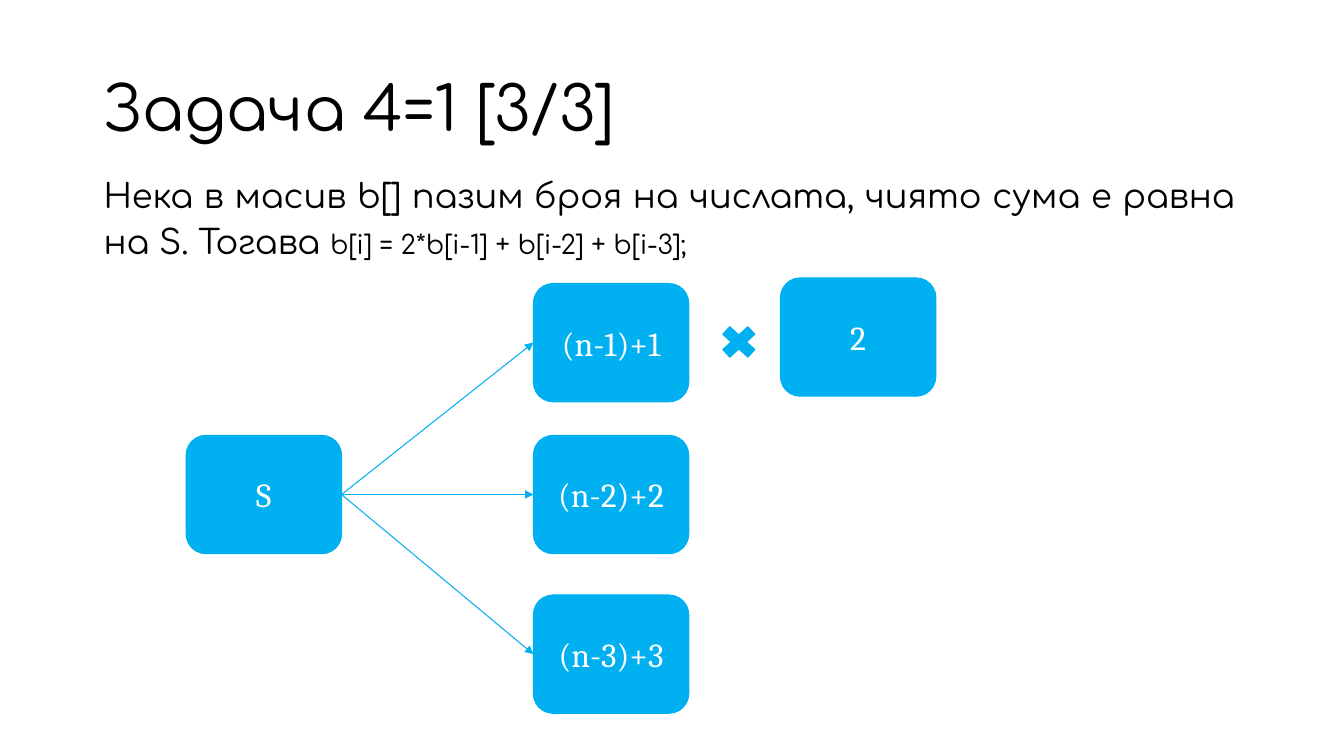
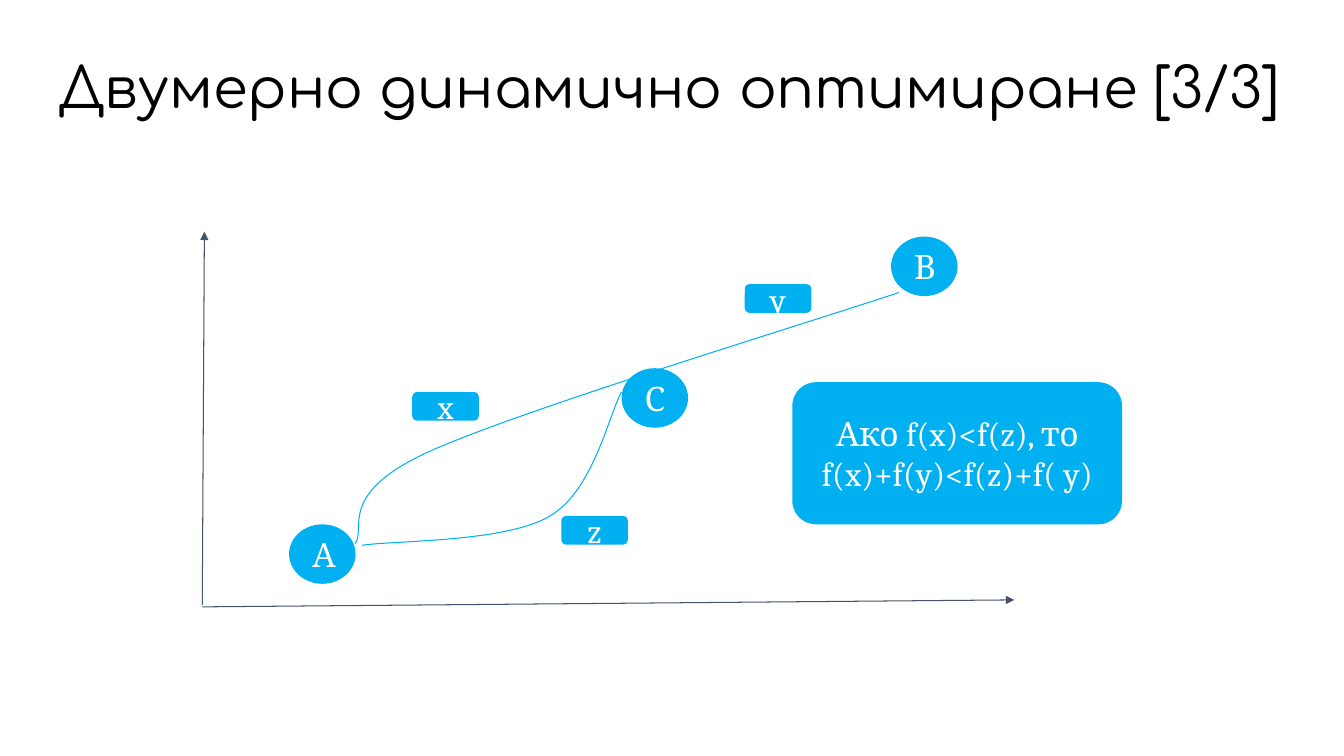
from lxml import etree
from pptx import Presentation
from pptx.dml.color import RGBColor
from pptx.enum.shapes import MSO_CONNECTOR, MSO_SHAPE
from pptx.enum.text import MSO_ANCHOR, MSO_AUTO_SIZE, PP_ALIGN
from pptx.oxml.ns import qn
from pptx.util import Pt

ROUNDED, OVAL = MSO_SHAPE.ROUNDED_RECTANGLE, MSO_SHAPE.OVAL
MULTIPLY = MSO_SHAPE.MATH_MULTIPLY
STRAIGHT = MSO_CONNECTOR.STRAIGHT
LEFT, CENTER, JUSTIFY = PP_ALIGN.LEFT, PP_ALIGN.CENTER, PP_ALIGN.JUSTIFY
TOP, MIDDLE = MSO_ANCHOR.TOP, MSO_ANCHOR.MIDDLE

COLORS = {"accent": "00B0F0", "axis": "44546A", "text": "000000", "label": "FFFFFF"}
HEADING_FONT, LABEL_FONT = "Comfortaa", "Cambria"
LINE_WIDTH = 0.75
LEFT_SITE, RIGHT_SITE = 1, 3
BOX = (111, 84.5)
NODE = (47.5, 42.5)
TAG = (47.5, 20.5)


def color(name):
    return RGBColor.from_string(COLORS[name])


def set_frame(tf, margin_x, margin_y, anchor):
    formats = {
        "word_wrap": True, "auto_size": MSO_AUTO_SIZE.NONE, "vertical_anchor": anchor,
        "margin_left": Pt(margin_x), "margin_right": Pt(margin_x),
        "margin_top": Pt(margin_y), "margin_bottom": Pt(margin_y),
    }
    for name, value in formats.items():
        setattr(tf, name, value)


def add_run(p, text, size, font, color_name):
    r = p.add_run()
    r.text = text
    for name, value in {"size": Pt(size), "name": font}.items():
        setattr(r.font, name, value)
    r.font.color.rgb = color(color_name)


def set_line(sp, color_name):
    sp.line.color.rgb = color(color_name)
    sp.line.width = Pt(LINE_WIDTH)


def add_slide(prs, title, size, left, top, width, height=60.5):
    s = prs.slides.add_slide(prs.slide_layouts.get_by_name("Title Only"))
    sp = s.shapes.title
    for name, value in zip(("left", "top", "width", "height"), (left, top, width, height)):
        setattr(sp, name, Pt(value))
    set_frame(sp.text_frame, 8.5, 3, MIDDLE)
    p = sp.text_frame.paragraphs[0]
    p.alignment, p.line_spacing = LEFT, 0.9
    add_run(p, title, size, HEADING_FONT, "text")
    return s


def add_body(s, left, top, width, height, runs):
    tf = s.shapes.add_textbox(Pt(left), Pt(top), Pt(width), Pt(height)).text_frame
    set_frame(tf, 8.5, 3, TOP)
    p = tf.paragraphs[0]
    p.alignment, p.line_spacing = JUSTIFY, 1.15
    for text, size in runs:
        add_run(p, text, size, HEADING_FONT, "text")


def add_block(s, kind, left, top, size, text="", align=CENTER, outlined=False):
    width, height = size
    sp = s.shapes.add_shape(kind, Pt(left), Pt(top), Pt(width), Pt(height))
    sp.shadow.inherit = False
    sp.fill.solid()
    sp.fill.fore_color.rgb = color("accent")
    if outlined:
        set_line(sp, "accent")
    else:
        sp.line.fill.background()
    if text:
        set_frame(sp.text_frame, 9.5, 9.5, MIDDLE)
        p = sp.text_frame.paragraphs[0]
        p.alignment = align
        add_run(p, text, 24, LABEL_FONT, "label")
    return sp


def add_arrow(s, color_name, start=(0, 0), end=(0, 0)):
    arrow = s.shapes.add_connector(STRAIGHT, *(Pt(v) for v in (*start, *end)))
    set_line(arrow, color_name)
    etree.SubElement(arrow.line._get_or_add_ln(), qn("a:tailEnd"), type="triangle")
    etree.SubElement(arrow._element.spPr, qn("a:effectLst"))
    return arrow


def bezier(points, t):
    """Return the point at t by repeated interpolation between control points."""
    while len(points) > 1:
        points = [((1 - t) * x1 + t * x2, (1 - t) * y1 + t * y2)
                  for (x1, y1), (x2, y2) in zip(points, points[1:])]
    return points[0]


def add_curve(s, controls, steps=30):
    """Draw joined cubic segments; neighbours share an end point."""
    points = [bezier(controls[i:i + 4], step / steps)
              for i in range(0, len(controls) - 1, 3) for step in range(1, steps + 1)]
    x, y = controls[0]
    builder = s.shapes.build_freeform(Pt(x), Pt(y))
    builder.add_line_segments([(Pt(x), Pt(y)) for x, y in points], close=False)
    sp = builder.convert_to_shape()
    sp.shadow.inherit = False
    sp.fill.background()
    set_line(sp, "accent")


def build_recurrence(prs):
    s = add_slide(prs, "Задача 4=1 [3/3]", 44, 65.5, 49.5, 838)
    add_body(s, 65.5, 117.5, 825, 74, [
        ("Нека в масив b[] пазим броя на числата, чиято сума е равна на S. Тогава ", 24),
        ("b[i] = 2*b[i-1] + b[i-2] + b[i-3];", 18.7),
    ])
    total = add_block(s, ROUNDED, 133, 311, BOX, "S", outlined=True)
    for k, top in enumerate((202.5, 311, 425), start=1):
        term = add_block(s, ROUNDED, 381, top, BOX, f"(n-{k})+{k}", outlined=True)
        arrow = add_arrow(s, "accent")
        arrow.begin_connect(total, RIGHT_SITE)
        arrow.end_connect(term, LEFT_SITE)
    add_block(s, ROUNDED, 557.5, 198.5, BOX, "2", outlined=True)
    add_block(s, MULTIPLY, 510.5, 228.5, (34.5, 31.5), outlined=True)


def build_paths(prs):
    s = add_slide(prs, "Двумерно динамично оптимиране [3/3]", 40, 33, 34.5, 894)
    add_arrow(s, "axis", (144.5, 432), (146, 165.5))
    add_arrow(s, "axis", (144.5, 433.5), (724.5, 428.5))
    add_curve(s, [(253.5, 388.5), (262, 378), (240, 353.5), (304.5, 323.5),
                  (369.5, 293.5), (586, 228), (642, 209)])
    add_curve(s, [(258.5, 389.5), (281, 386), (362, 387.5), (393, 368.5),
                  (424, 350.5), (435.5, 294.5), (444, 280)])
    for name, left, top in (("А", 206.5, 374.5), ("В", 636.5, 169), ("С", 444, 263)):
        add_block(s, OVAL, left, top, NODE, name, LEFT)
    for name, left, top in (("x", 294.5, 280), ("z", 401, 368.5), ("y", 532, 203)):
        add_block(s, ROUNDED, left, top, TAG, name)
    add_block(s, ROUNDED, 566, 273, (235.5, 101.5), "Ако f(x)<f(z), то f(x)+f(y)<f(z)+f( y)")


def main():
    prs = Presentation()
    prs.slide_width, prs.slide_height = Pt(960), Pt(540)
    build_recurrence(prs)
    build_paths(prs)
    prs.save("out.pptx")


if __name__ == "__main__":
    main()
